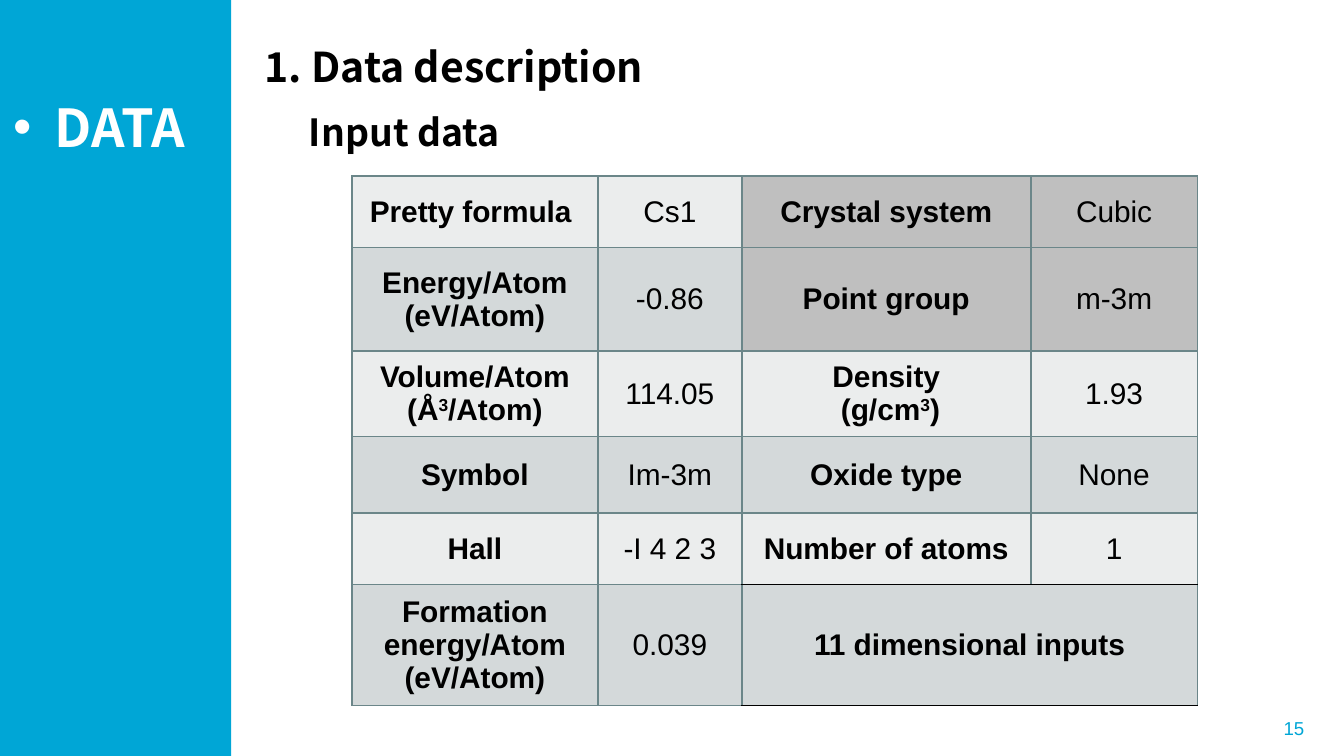
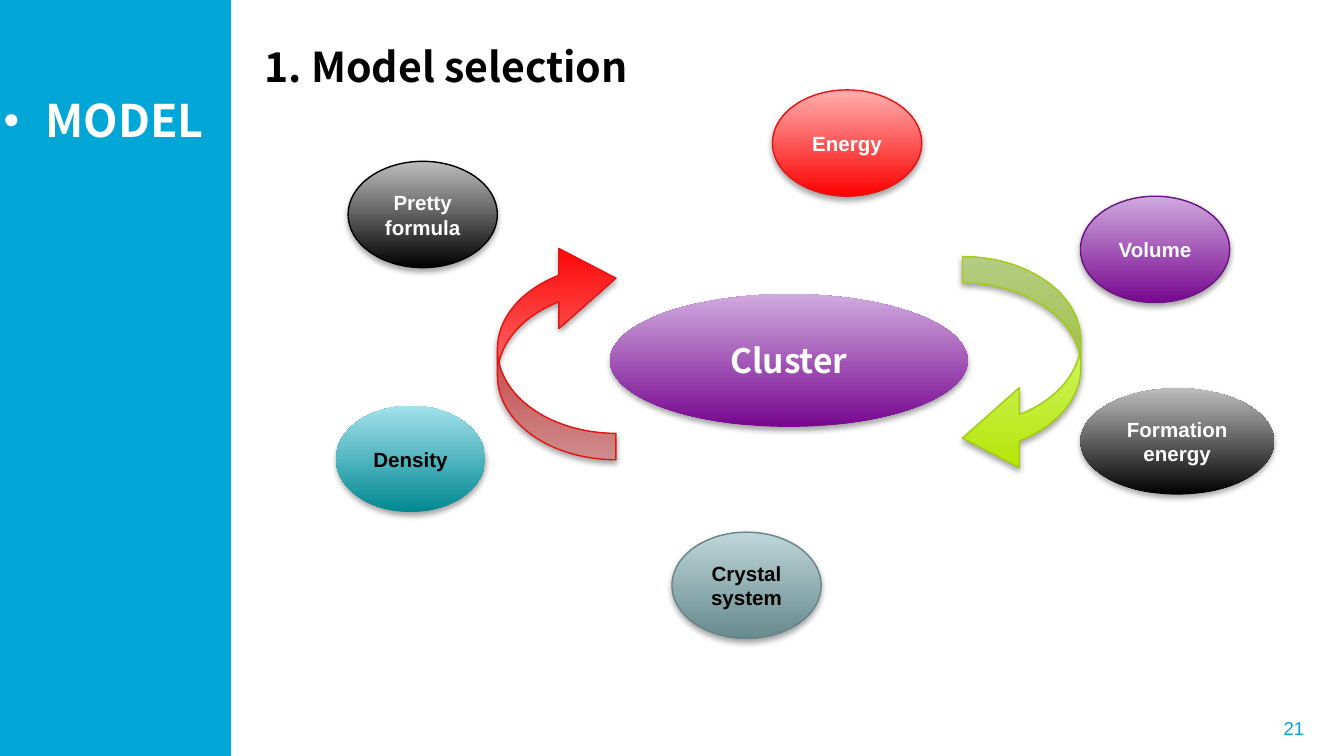
from dataclasses import dataclass
from typing import Any, NamedTuple, Optional

from lxml import etree
from pptx import Presentation
from pptx.dml.color import RGBColor
from pptx.enum.shapes import MSO_SHAPE
from pptx.enum.text import MSO_ANCHOR, MSO_AUTO_SIZE, PP_ALIGN
from pptx.oxml.ns import qn
from pptx.util import Cm, Pt

RECT = MSO_SHAPE.RECTANGLE
OVAL = MSO_SHAPE.OVAL
CURVED_ARROW = MSO_SHAPE.CURVED_LEFT_ARROW
MIDDLE = MSO_ANCHOR.MIDDLE
TOP = MSO_ANCHOR.TOP
LEFT, CENTER, RIGHT = PP_ALIGN.LEFT, PP_ALIGN.CENTER, PP_ALIGN.RIGHT
GROW = MSO_AUTO_SIZE.SHAPE_TO_FIT_TEXT
FIXED = MSO_AUTO_SIZE.NONE

SANS = "Arial"
HEADING = "Noto Sans CJK SC"
BULLET_INDENT = Cm(0.79)
ARROW_ADJUSTMENTS = (0.223, 0.676, 0.481)

COLORS = {
    "brand": "00A6D6",
    "white": "FFFFFF",
    "black": "000000",
    "light_row": "EBEDED",
    "dark_row": "D4D9DA",
    "marked": "BFBFBF",
    "border": "6B8689",
    "red_line": "E21515",
    "purple_line": "6C147F",
    "slate_line": "688487",
    "lime_line": "A4CA15",
}
GRADIENTS = {
    "black": ("000000", "BDBDBD"),
    "red": ("FC0000", "FFAFAF"),
    "purple": ("77078F", "D0AADF"),
    "slate": ("678A8D", "BED6D9"),
    "teal": ("008891", "A3E2EC"),
    "lime": ("B4E400", "E0FFA5"),
}


class Box(NamedTuple):
    left: float
    top: float
    width: float
    height: float

    def lengths(self) -> tuple:
        return tuple(Cm(v) for v in self)


@dataclass(frozen=True)
class Style:
    size: float
    color: str = "black"
    font: str = SANS
    bold: bool = True
    align: Any = LEFT


@dataclass(frozen=True)
class Label:
    text: str
    box: Box
    style: Style
    bullet: bool = False
    anchor: Any = TOP
    auto_size: Any = GROW


@dataclass(frozen=True)
class Figure:
    box: Box
    gradient: str
    line: Optional[str] = None
    text: str = ""
    style: Optional[Style] = None
    kind: Any = OVAL
    rotation: float = 0


TITLE = Style(22, font=HEADING)
SUBTITLE = Style(20, font=HEADING)
PAGE = Style(10, "brand", bold=False, align=RIGHT)
ON_DARK = Style(11, "white", align=CENTER)
ON_LIGHT = Style(11, align=CENTER)
HUB = Style(18, "white", HEADING, align=CENTER)
CELL_NAME = Style(16, align=CENTER)
CELL_VALUE = Style(16, bold=False, align=CENTER)

BAND_BOX = Box(0, 0, 4.37, 14.29)
TITLE_BOX = Box(4.75, 0.66, 18.03, 1.19)
PAGE_BOX = Box(18.47, 13.39, 6.43, 0.76)

TABLE_LEFT, TABLE_TOP = 6.65, 3.33
COLUMN_WIDTHS = (4.65, 2.72, 5.46, 3.15)
ROW_HEIGHTS = (1.35, 1.96, 1.6, 1.45, 1.35, 2.26)
INPUT_ROWS = (
    ("Pretty formula ", "Cs1", "Crystal system", "Cubic"),
    ("Energy/Atom\n(eV/Atom)", "-0.86", "Point group", "m-3m"),
    ("Volume/Atom\n(Å^3^/Atom)", "114.05", "Density\n (g/cm^3^)", "1.93"),
    ("Symbol", "Im-3m", "Oxide type", "None"),
    ("Hall", "-I 4 2 3", "Number of atoms", "1"),
    ("Formation energy/Atom\n(eV/Atom)", "0.039", "11 dimensional inputs", ""),
)


def node(left: float, top: float, gradient: str, text: str, style: Style,
         line: Optional[str] = None, width: float = 2.82) -> Figure:
    return Figure(Box(left, top, width, 2.01), gradient, line, text, style)


def arrow(left: float, top: float, gradient: str, line: str,
          rotation: float = 0) -> Figure:
    return Figure(Box(left, top, 2.24, 4.19), gradient, line,
                  kind=CURVED_ARROW, rotation=rotation)


FIGURES = (
    node(6.58, 3.05, "black", "Pretty formula", ON_DARK, "black"),
    node(14.6, 1.7, "red", "Energy", ON_DARK, "red_line"),
    node(20.42, 3.71, "purple", "Volume", ON_DARK, "purple_line"),
    node(12.7, 10.06, "slate", "Crystal system", ON_LIGHT, "slate_line"),
    node(6.35, 7.67, "teal", "Density", ON_LIGHT),
    node(20.42, 7.34, "black", "Formation energy", ON_DARK, width=3.66),
    arrow(9.4, 4.5, "red", "red_line", 180),
    arrow(18.19, 4.85, "lime", "lime_line"),
    Figure(Box(11.53, 5.56, 6.76, 2.51), "purple", text="Cluster", style=HUB),
)


def rgb(name: str) -> RGBColor:
    return RGBColor.from_string(COLORS[name])


def apply(target: Any, values: dict) -> None:
    for name, value in values.items():
        setattr(target, name, value)


def write(tf: Any, text: str, style: Style) -> None:
    for i, line in enumerate(text.split("\n")):
        p = tf.add_paragraph() if i else tf.paragraphs[0]
        p.alignment = style.align
        for j, part in enumerate(line.split("^")):
            r = p.add_run()
            r.text = part
            apply(r.font, {"size": Pt(style.size), "name": style.font,
                           "bold": style.bold})
            r.font.color.rgb = rgb(style.color)
            if j % 2:
                r.font._element.set("baseline", "30000")


def add_bullet(p: Any) -> None:
    pPr = p._p.get_or_add_pPr()
    pPr.set("marL", str(BULLET_INDENT))
    pPr.set("indent", str(-BULLET_INDENT))
    etree.SubElement(pPr, qn("a:buFont")).set("typeface", SANS)
    etree.SubElement(pPr, qn("a:buChar")).set("char", "•")


def add_label(slide: Any, label: Label) -> None:
    tf = slide.shapes.add_textbox(*label.box.lengths()).text_frame
    apply(tf, {"word_wrap": True, "auto_size": label.auto_size,
               "vertical_anchor": label.anchor})
    if label.bullet:
        add_bullet(tf.paragraphs[0])
    write(tf, label.text, label.style)


def add_shadow(sp: Any) -> None:
    sp.shadow.inherit = False
    effects = sp._element.spPr.find(qn("a:effectLst"))
    shadow = etree.SubElement(effects, qn("a:outerShdw"), {
        "blurRad": "40000", "dist": "23000", "dir": "5400000",
        "rotWithShape": "0"})
    color = etree.SubElement(shadow, qn("a:srgbClr"), val=COLORS["black"])
    etree.SubElement(color, qn("a:alpha"), val="35000")


def add_figure(slide: Any, figure: Figure) -> None:
    sp = slide.shapes.add_shape(figure.kind, *figure.box.lengths())
    sp.rotation = figure.rotation
    if figure.kind == CURVED_ARROW:
        for i, value in enumerate(ARROW_ADJUSTMENTS):
            sp.adjustments[i] = value
    sp.fill.gradient()
    sp.fill.gradient_angle = 90
    stops = zip(sp.fill.gradient_stops, GRADIENTS[figure.gradient])
    for position, (stop, color) in enumerate(stops):
        stop.position = position
        stop.color.rgb = RGBColor.from_string(color)
    if figure.line:
        sp.line.color.rgb = rgb(figure.line)
        sp.line.width = Pt(0.75)
    else:
        sp.line.fill.background()
    add_shadow(sp)
    if figure.style:
        apply(sp.text_frame, {"word_wrap": True, "vertical_anchor": MIDDLE})
        write(sp.text_frame, figure.text, figure.style)


def set_borders(cell: Any, thin_sides: str) -> None:
    tcPr = cell._tc.get_or_add_tcPr()
    for side in "LRTB":
        thin = side in thin_sides
        ln = etree.SubElement(tcPr, qn(f"a:ln{side}"),
                              w=str(Pt(0.25 if thin else 1)))
        fill = etree.SubElement(ln, qn("a:solidFill"))
        etree.SubElement(fill, qn("a:srgbClr"),
                         val=COLORS["black" if thin else "border"])


def add_input_table(slide: Any) -> None:
    box = Box(TABLE_LEFT, TABLE_TOP, sum(COLUMN_WIDTHS), sum(ROW_HEIGHTS))
    table = slide.shapes.add_table(
        len(ROW_HEIGHTS), len(COLUMN_WIDTHS), *box.lengths()).table
    apply(table, {"first_row": False, "horz_banding": False})
    for column, width in zip(table.columns, COLUMN_WIDTHS):
        column.width = Cm(width)
    for row, height in zip(table.rows, ROW_HEIGHTS):
        row.height = Cm(height)
    last = len(INPUT_ROWS) - 1
    for i, texts in enumerate(INPUT_ROWS):
        for j, text in enumerate(texts):
            cell = table.cell(i, j)
            right_half = j >= 2
            thin = {last - 1: "B", last: "TB"}.get(i, "") if right_half else ""
            set_borders(cell, thin)
            band = "dark_row" if i % 2 else "light_row"
            cell.fill.solid()
            cell.fill.fore_color.rgb = rgb(
                "marked" if right_half and i < 2 else band)
            cell.vertical_anchor = MIDDLE
            if text:
                write(cell.text_frame, text, CELL_VALUE if j % 2 else CELL_NAME)
    table.cell(last, 2).merge(table.cell(last, 3))


def add_base(prs: Any, title: str, section: Label, page: str) -> Any:
    slide = prs.slides.add_slide(prs.slide_layouts[6])
    slide.background.fill.solid()
    slide.background.fill.fore_color.rgb = rgb("white")
    band = slide.shapes.add_shape(RECT, *BAND_BOX.lengths())
    band.shadow.inherit = False
    band.fill.solid()
    band.fill.fore_color.rgb = rgb("brand")
    band.line.fill.background()
    add_label(slide, Label(page, PAGE_BOX, PAGE, anchor=MIDDLE,
                           auto_size=FIXED))
    add_label(slide, Label(title, TITLE_BOX, TITLE))
    add_label(slide, section)
    return slide


def add_data_slide(prs: Any) -> None:
    section = Label("DATA", Box(0, 1.68, 4.39, 1.45),
                    Style(28, "white", HEADING), bullet=True)
    slide = add_base(prs, "1. Data description", section, "15")
    add_input_table(slide)
    add_label(slide, Label("Input data", Box(5.59, 1.93, 18.03, 1.12), SUBTITLE))


def add_model_slide(prs: Any) -> None:
    section = Label("MODEL", Box(-0.18, 1.63, 6.76, 1.27),
                    Style(24, "white", HEADING), bullet=True)
    slide = add_base(prs, "1. Model selection", section, "21")
    for figure in FIGURES:
        add_figure(slide, figure)


def main() -> None:
    prs = Presentation()
    apply(prs, {"slide_width": Cm(25.4), "slide_height": Cm(14.29)})
    add_data_slide(prs)
    add_model_slide(prs)
    prs.save("out.pptx")


if __name__ == "__main__":
    main()
